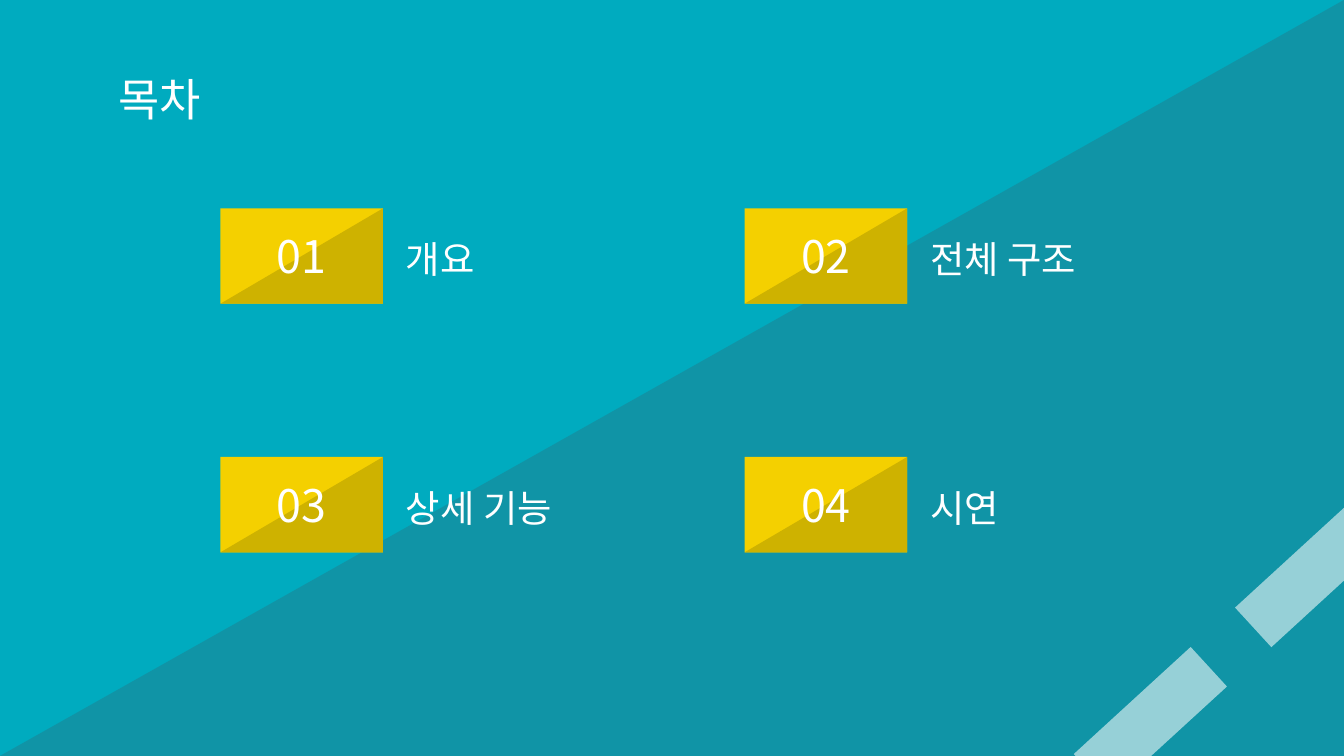
from lxml.etree import SubElement
from pptx import Presentation
from pptx.dml.color import RGBColor
from pptx.enum.shapes import MSO_SHAPE as Shape
from pptx.enum.text import MSO_ANCHOR as Anchor, MSO_AUTO_SIZE as AutoSize, PP_ALIGN as Align
from pptx.oxml.ns import qn
from pptx.util import Inches, Pt

WIDTH = 10
HEIGHT = WIDTH * 9 / 16
FONT = "Noto Sans CJK KR"
WHITE, CYAN, SLATE = "FFFFFF", "00ABBF", "336574"
YELLOW, GOLD = "F4D000", "CEB200"

TOPICS = ["개요", "전체 구조", "상세 기능", "시연"]
COLUMNS = 2
GRID_LEFT, GRID_TOP = 1.64, 1.55
COLUMN_STEP, ROW_STEP = 3.9, 1.85
CARD_WIDTH, CARD_HEIGHT = 1.21, 0.71
LABEL_OFFSET, LABEL_WIDTH, LABEL_HEIGHT = 1.28, 1.55, 0.7


def paint(fill, color, opacity=100):
    fill.solid()
    fill.fore_color.rgb = RGBColor.from_string(color)
    if opacity < 100:
        tint = fill.fore_color._xFill.find(qn("a:srgbClr"))
        SubElement(tint, qn("a:alpha")).set("val", str(opacity * 1000))


def add_block(page, kind, box, color, opacity=100, rotation=0):
    block = page.shapes.add_shape(kind, *map(Inches, box))
    block.shadow.inherit = False
    block.line.fill.background()
    block.rotation = rotation
    paint(block.fill, color, opacity)
    return block


def add_corner(page, box, color, opacity=100):
    """Fill the lower right half of a box."""
    corner = add_block(page, Shape.RIGHT_TRIANGLE, box, color, opacity)
    corner.element.spPr.find(qn("a:xfrm")).set("flipH", "1")


def write(holder, box, text, size, align=Align.LEFT, spacing=1.0):
    """Place a text holder in front and give it one line of text."""
    holder.left, holder.top, holder.width, holder.height = map(Inches, box)
    holder.element.getparent().append(holder.element)
    frame = holder.text_frame
    frame.word_wrap = True
    frame.auto_size = AutoSize.NONE
    frame.vertical_anchor = Anchor.MIDDLE
    frame.margin_left = frame.margin_right = Inches(0.1)
    frame.margin_top = frame.margin_bottom = Inches(0.1)

    para = frame.paragraphs[0]
    para.alignment = align
    para.line_spacing = spacing
    para.space_before = Pt(0)
    props = para._p.get_or_add_pPr()
    props.set("marL", "0")
    props.set("indent", "0")
    SubElement(props, qn("a:buNone"))

    span = para.add_run()
    span.text = text
    span.font.size = Pt(size)
    span.font.bold = False
    span.font.name = FONT
    span.font.color.rgb = RGBColor.from_string(WHITE)
    span.font._element.set("kern", "0")
    SubElement(span.font._element, qn("a:ea")).set("typeface", FONT)


def add_backdrop(page):
    paint(page.background.fill, CYAN)
    add_corner(page, (0, 0, WIDTH, HEIGHT), SLATE, 32)
    for step in range(2):
        box = (7.97 + 1.2 * step, 5.16 - 1.09 * step, 1.18, 0.4)
        add_block(page, Shape.RECTANGLE, box, WHITE, 56, 317.5)


def add_topic(page, index, label, topic):
    row, column = divmod(index, COLUMNS)
    left = GRID_LEFT + column * COLUMN_STEP
    top = GRID_TOP + row * ROW_STEP
    card = (left, top, CARD_WIDTH, CARD_HEIGHT)
    add_block(page, Shape.RECTANGLE, card, YELLOW)
    add_corner(page, card, GOLD)
    number = page.shapes.add_textbox(0, 0, 0, 0)
    write(number, card, f"{index + 1:02}", 24, Align.CENTER)
    label_box = (left + LABEL_OFFSET, top, LABEL_WIDTH, LABEL_HEIGHT)
    write(label, label_box, topic, 20, spacing=1.15)


def main():
    deck = Presentation()
    deck.slide_width, deck.slide_height = Inches(WIDTH), Inches(HEIGHT)
    comparison = deck.slide_layouts.get_by_name("Comparison")
    page = deck.slides.add_slide(comparison)
    title, *labels = page.placeholders

    add_backdrop(page)
    write(title, (0.78, 0.42, 8.44, 0.63), "목차", 24)
    for index, (label, topic) in enumerate(zip(labels, TOPICS)):
        add_topic(page, index, label, topic)
    deck.save("out.pptx")


if __name__ == "__main__":
    main()
